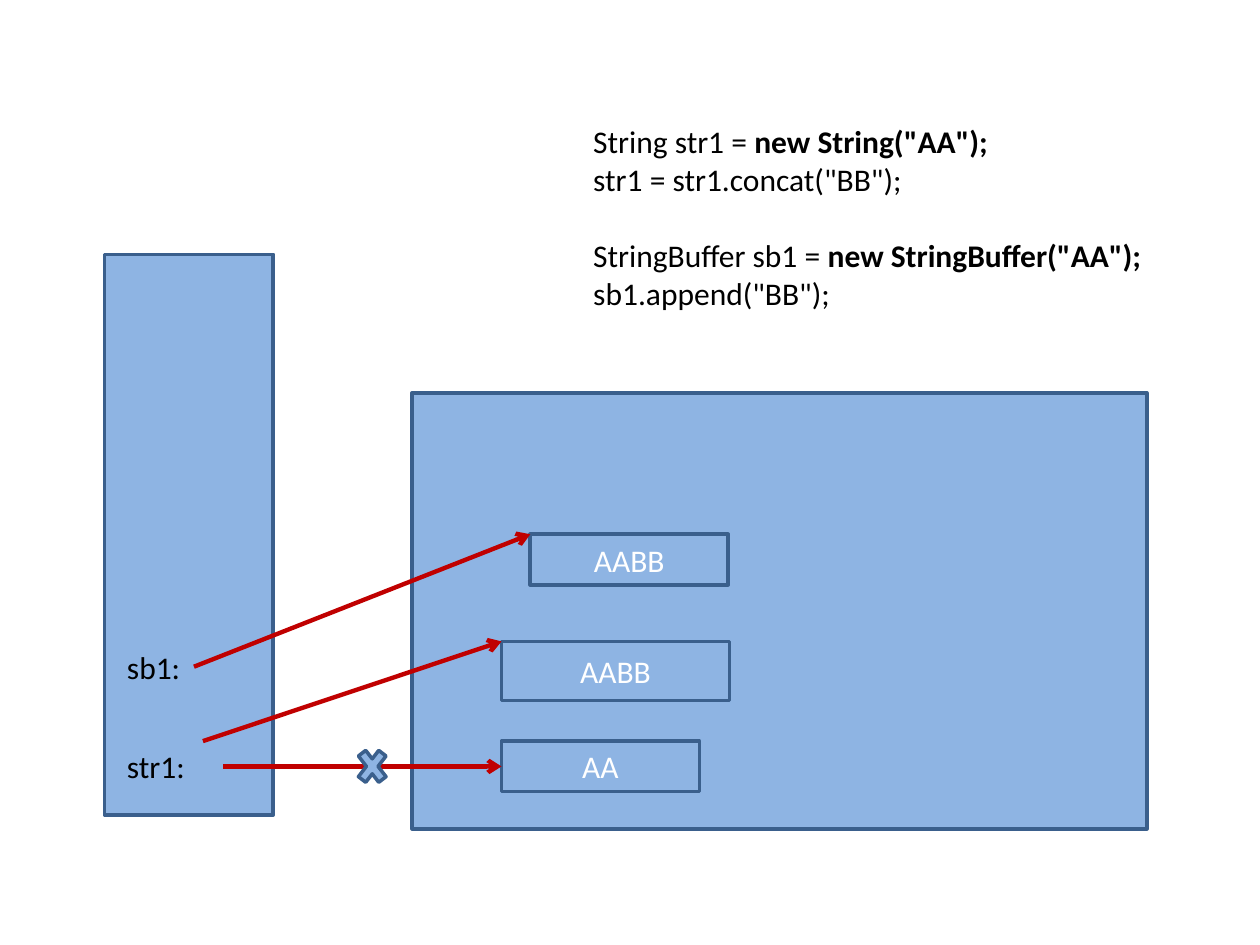
from lxml import etree
from pptx import Presentation
from pptx.dml.color import RGBColor
from pptx.enum.shapes import MSO_CONNECTOR, MSO_SHAPE
from pptx.enum.text import MSO_ANCHOR, MSO_AUTO_SIZE, PP_ALIGN
from pptx.oxml.ns import qn
from pptx.util import Cm, Pt

RECTANGLE = MSO_SHAPE.RECTANGLE
CROSS = MSO_SHAPE.MATH_MULTIPLY
STRAIGHT = MSO_CONNECTOR.STRAIGHT
MIDDLE = MSO_ANCHOR.MIDDLE
CENTER = PP_ALIGN.CENTER
GROW = MSO_AUTO_SIZE.SHAPE_TO_FIT_TEXT
LEFT_SIDE = 1

COLORS = {
    "box": "8EB4E3",
    "outline": "3A5F8C",
    "arrow": "C00000",
    "text": "000000",
    "value": "FFFFFF",
}


def color(name):
    return RGBColor.from_string(COLORS[name])


class MemoryDiagram:
    font_name = "Calibri"
    font_size = Pt(18)
    line_height = Pt(22)
    outline_width = Pt(2)
    arrow_width = Pt(2.5)

    def __init__(self, slide):
        self.slide = slide

    def format_run(self, run, color_name, bold=False):
        run.font.name = self.font_name
        run.font.size = self.font_size
        run.font.bold = bold
        run.font.color.rgb = color(color_name)

    def box(self, left, top, width, height, text="", kind=RECTANGLE):
        shape = self.slide.shapes.add_shape(
            kind, Cm(left), Cm(top), Cm(width), Cm(height))
        shape.shadow.inherit = False
        shape.fill.solid()
        shape.fill.fore_color.rgb = color("box")
        shape.line.color.rgb = color("outline")
        shape.line.width = self.outline_width
        if text:
            shape.text_frame.text = text
            shape.text_frame.vertical_anchor = MIDDLE
            paragraph = shape.text_frame.paragraphs[0]
            paragraph.alignment = CENTER
            self.format_run(paragraph.runs[0], "value")
        return shape

    def text(self, left, top, width, height, lines):
        """Each line is (plain part, bold part, whether a gap precedes it)."""
        shape = self.slide.shapes.add_textbox(
            Cm(left), Cm(top), Cm(width), Cm(height))
        frame = shape.text_frame
        frame.word_wrap = True
        frame.auto_size = GROW
        frame.text = "\n".join(plain for plain, _, _ in lines)
        for paragraph, (_, bold_part, gap) in zip(frame.paragraphs, lines):
            self.format_run(paragraph.runs[0], "text")
            if bold_part:
                run = paragraph.add_run()
                run.text = bold_part
                self.format_run(run, "text", bold=True)
            if gap:
                paragraph.space_before = self.line_height

    def label(self, top, width, text):
        self.text(2.31, top, width, 1.02, [(text, "", False)])

    def arrow(self, start, target, to_middle=False):
        """Point at the target's top left corner, or join its left side."""
        connector = self.slide.shapes.add_connector(
            STRAIGHT, Cm(start[0]), Cm(start[1]), target.left, target.top)
        if to_middle:
            connector.end_connect(target, LEFT_SIDE)
        connector.line.color.rgb = color("arrow")
        connector.line.width = self.arrow_width
        line = connector.line._get_or_add_ln()
        etree.SubElement(line, qn("a:tailEnd"), type="arrow")
        etree.SubElement(connector._element.spPr, qn("a:effectLst"))


def main():
    presentation = Presentation()
    presentation.slide_width = Cm(25.4)
    presentation.slide_height = Cm(19.05)
    slide = presentation.slides.add_slide(presentation.slide_layouts[6])
    diagram = MemoryDiagram(slide)

    diagram.text(11.71, 2.34, 12.7, 4.11, [
        ("String str1 = ", 'new String("AA");', False),
        ('str1 = str1.concat("BB");', "", False),
        ("StringBuffer sb1 = ", 'new StringBuffer("AA");', True),
        ('sb1.append("BB");', "", False),
    ])

    diagram.box(2.11, 5.13, 3.4, 11.3)  # stack
    diagram.box(8.31, 7.92, 14.81, 8.79)  # heap

    diagram.label(14.94, 3.61, "str1:")
    old_string = diagram.box(10.11, 14.94, 3.99, 1.02, "AA")
    diagram.arrow((4.5, 15.45), old_string, to_middle=True)
    new_string = diagram.box(10.11, 12.93, 4.6, 1.19, "AABB")
    diagram.arrow((4.09, 14.94), new_string)
    diagram.box(7.11, 14.94, 0.79, 1.02, kind=CROSS)

    diagram.label(12.93, 3.2, "sb1:")
    buffer = diagram.box(10.69, 10.77, 3.99, 1.02, "AABB")
    diagram.arrow((3.91, 13.44), buffer)

    presentation.save("out.pptx")


if __name__ == "__main__":
    main()
